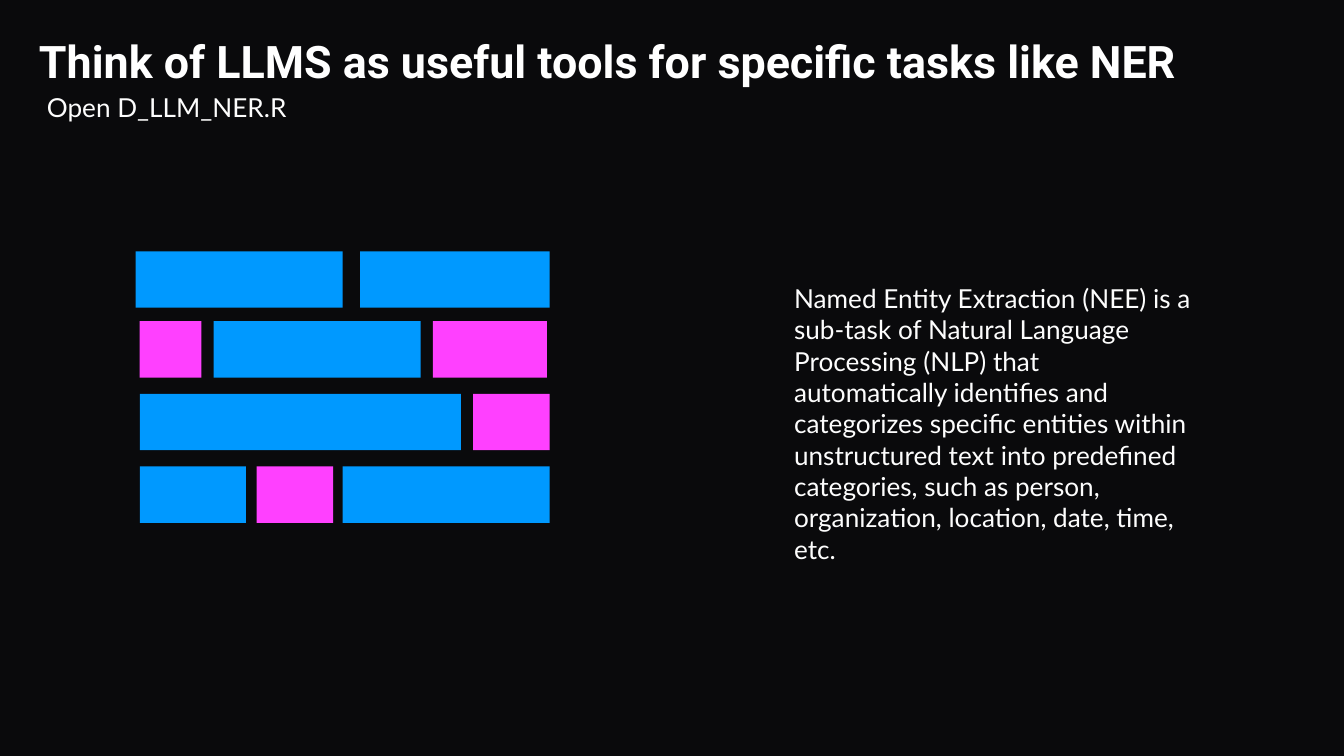
"""Build a slide on named entity extraction beside a wall of text bricks."""
from dataclasses import dataclass

from pptx import Presentation
from pptx.dml.color import RGBColor
from pptx.enum.shapes import MSO_SHAPE
from pptx.enum.text import MSO_ANCHOR
from pptx.util import Inches, Pt

RECT = MSO_SHAPE.RECTANGLE
TOP = MSO_ANCHOR.TOP
MIDDLE = MSO_ANCHOR.MIDDLE


@dataclass(frozen=True)
class Theme:
    background: str = "0A0A0C"
    title: str = "FFFFFF"
    body: str = "FDFDFD"
    text_brick: str = "0099FF"
    entity_brick: str = "FF40FF"
    title_font: str = "Roboto"
    body_font: str = "Lato"
    title_size: int = 24
    body_size: int = 14


THEME = Theme()
SLIDE_WIDTH = 10
SLIDE_HEIGHT = SLIDE_WIDTH * 9 / 16
TITLE = "Think of LLMS as useful tools for specific tasks like NER"
SUBTITLE = "Open D_LLM_NER.R"
DEFINITION = (
    "Named Entity Extraction (NEE) is a sub-task of Natural Language "
    "Processing (NLP) that automatically identifies and categorizes specific "
    "entities within unstructured text into predefined categories, such as "
    "person, organization, location, date, time, etc."
)
BRICK_HEIGHT = 0.42
TEXT, ENTITY = THEME.text_brick, THEME.entity_brick
BRICK_ROWS = [
    (1.87, [(1.01, 1.54, TEXT), (2.68, 1.41, TEXT)]),
    (2.39, [(1.04, 0.46, ENTITY), (1.59, 1.54, TEXT), (3.22, 0.85, ENTITY)]),
    (2.93, [(1.04, 2.39, TEXT), (3.52, 0.57, ENTITY)]),
    (3.47, [(1.04, 0.79, TEXT), (1.91, 0.57, ENTITY), (2.55, 1.54, TEXT)]),
]


def add_text(s, text, left, top, width, height, *, font=THEME.body_font,
             size=THEME.body_size, color=THEME.body, bold=False,
             anchor=TOP, inset=(0.1, 0.05), line_spacing=1.0):
    """Add a wrapped text box holding one formatted paragraph."""
    sp = s.shapes.add_textbox(Inches(left), Inches(top),
                              Inches(width), Inches(height))
    tf = sp.text_frame
    tf.word_wrap = True
    tf.vertical_anchor = anchor
    tf.margin_left = tf.margin_right = Inches(inset[0])
    tf.margin_top = tf.margin_bottom = Inches(inset[1])
    p = tf.paragraphs[0]
    p.line_spacing = line_spacing
    r = p.add_run()
    r.text = text
    r.font.name = font
    r.font.size = Pt(size)
    r.font.bold = bold
    r.font.color.rgb = RGBColor.from_string(color)


def add_brick(s, left, top, width, color):
    """Add one plain brick without outline."""
    sp = s.shapes.add_shape(RECT, Inches(left), Inches(top),
                            Inches(width), Inches(BRICK_HEIGHT))
    sp.shadow.inherit = False
    sp.fill.solid()
    sp.fill.fore_color.rgb = RGBColor.from_string(color)
    sp.line.fill.background()


def add_wall(s):
    """Add the rows of text and entity bricks."""
    for top, bricks in BRICK_ROWS:
        for left, width, color in bricks:
            add_brick(s, left, top, width, color)


def main():
    """Build and save the slide."""
    prs = Presentation()
    prs.slide_width = Inches(SLIDE_WIDTH)
    prs.slide_height = Inches(SLIDE_HEIGHT)
    s = prs.slides.add_slide(prs.slide_layouts[6])
    s.background.fill.solid()
    s.background.fill.fore_color.rgb = RGBColor.from_string(THEME.background)
    add_text(s, TITLE, 0.25, 0.15, 9.42, 0.65, font=THEME.title_font,
             size=THEME.title_size, color=THEME.title, bold=True,
             anchor=MIDDLE, inset=(0.04, 0.04), line_spacing=0.9)
    add_text(s, DEFINITION, 5.81, 2.05, 3.19, 1.99)
    add_text(s, SUBTITLE, 0.25, 0.63, 3.19, 0.34)
    add_wall(s)
    prs.save("out.pptx")


if __name__ == "__main__":
    main()
